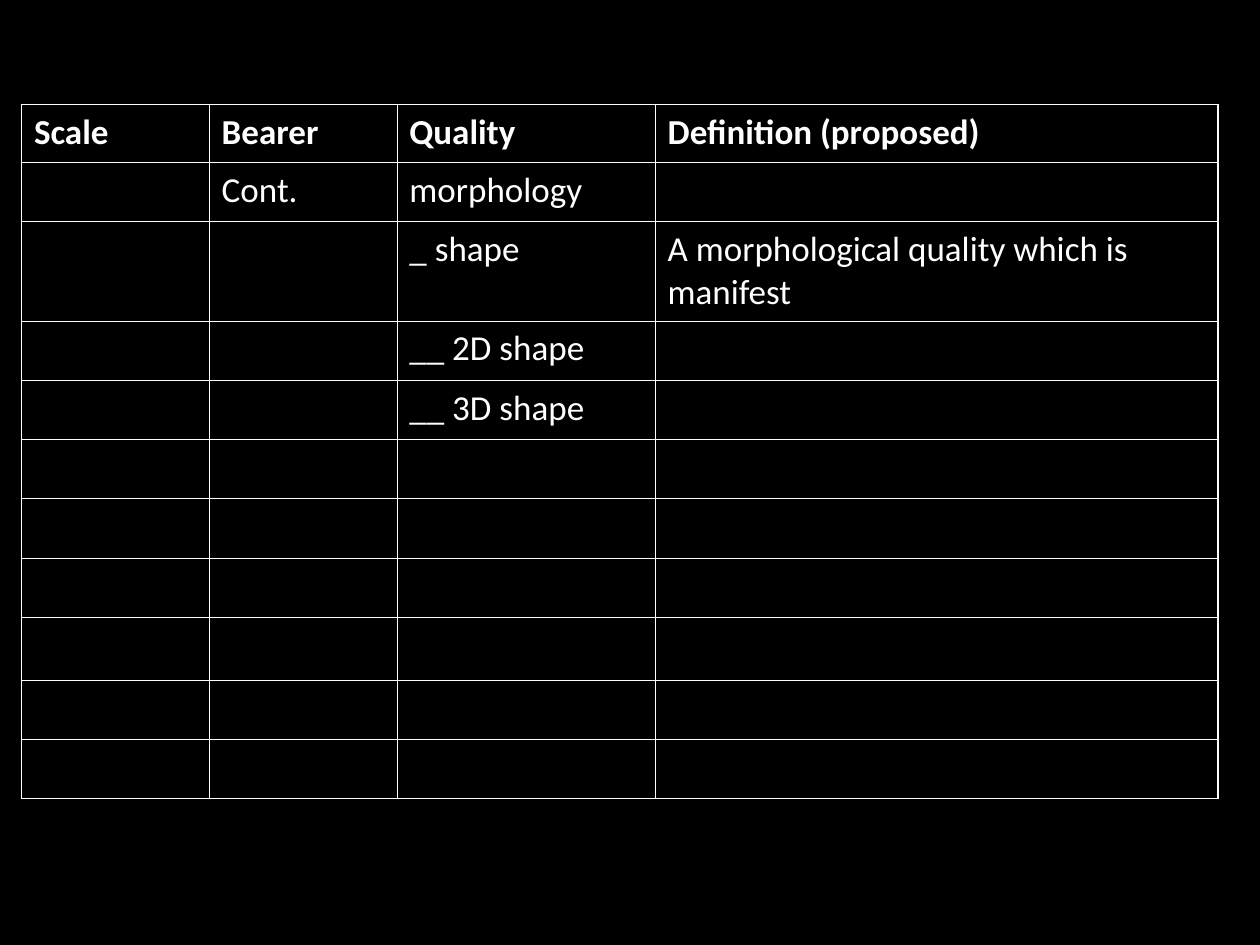
from lxml import etree
from pptx import Presentation
from pptx import util as u
from pptx.dml.color import RGBColor
from pptx.oxml.ns import qn

WHITE = "FFFFFF"
BLACK = "000000"
INNER_LINE, OUTER_LINE = 0.45, 1.08
COLUMN_WIDTHS = [1.49, 1.49, 2.05, 4.47]
ROW_HEIGHTS = [0.46, 0.47, 0.79] + [0.47] * 5 + [0.5] + [0.47] * 2
ROWS = [
    ["Scale", "Bearer", "Quality", "Definition (proposed)"],
    ["", "Cont.", "morphology", ""],
    ["", "", "_ shape", "A morphological quality which is manifest"],
    ["", "", "__ 2D shape", ""],
    ["", "", "__ 3D shape", ""],
]


def rgb(hex_color):
    return RGBColor.from_string(hex_color)


def add_border(cell, side, points):
    line = etree.SubElement(cell._tc.get_or_add_tcPr(), qn(f"a:ln{side}"), w=str(u.Pt(points)))
    fill = etree.SubElement(line, qn("a:solidFill"))
    etree.SubElement(fill, qn("a:srgbClr"), val=WHITE)


def style_cell(cell, outer_sides):
    """Draw the borders, heavier on the table's outer sides, and clear the fill."""
    for side in "LRTB":
        add_border(cell, side, OUTER_LINE if side in outer_sides else INNER_LINE)
    cell.fill.background()
    cell.margin_left = cell.margin_right = u.Inches(0.1)
    cell.margin_top = cell.margin_bottom = u.Inches(0.05)


def write_cell(cell, content, bold):
    cell.text_frame.text = content
    for run in cell.text_frame.paragraphs[0].runs:
        run.font.name = "Calibri"
        run.font.size = u.Pt(20)
        run.font.bold = bold
        run.font.color.rgb = rgb(WHITE)


def add_quality_table(slide, left, top):
    row_count, column_count = len(ROW_HEIGHTS), len(COLUMN_WIDTHS)
    table = slide.shapes.add_table(
        row_count, column_count, u.Inches(left), u.Inches(top),
        u.Inches(sum(COLUMN_WIDTHS)), u.Inches(sum(ROW_HEIGHTS))).table
    table.first_row = table.horz_banding = False
    for column, width in zip(table.columns, COLUMN_WIDTHS):
        column.width = u.Inches(width)
    for row, height in zip(table.rows, ROW_HEIGHTS):
        row.height = u.Inches(height)

    for r in range(row_count):
        for c in range(column_count):
            edges = {"L": c == 0, "R": c == column_count - 1,
                     "T": r == 0, "B": r == row_count - 1}
            style_cell(table.cell(r, c), [side for side in edges if edges[side]])
    for r, contents in enumerate(ROWS):
        for c, content in enumerate(contents):
            if content:
                write_cell(table.cell(r, c), content, bold=r == 0)


def main():
    presentation = Presentation()
    presentation.slide_width = u.Inches(10)
    presentation.slide_height = u.Inches(7.5)
    slide = presentation.slides.add_slide(presentation.slide_layouts[6])
    slide.background.fill.solid()
    slide.background.fill.fore_color.rgb = rgb(BLACK)
    add_quality_table(slide, 0.17, 0.83)
    presentation.save("out.pptx")


if __name__ == "__main__":
    main()
